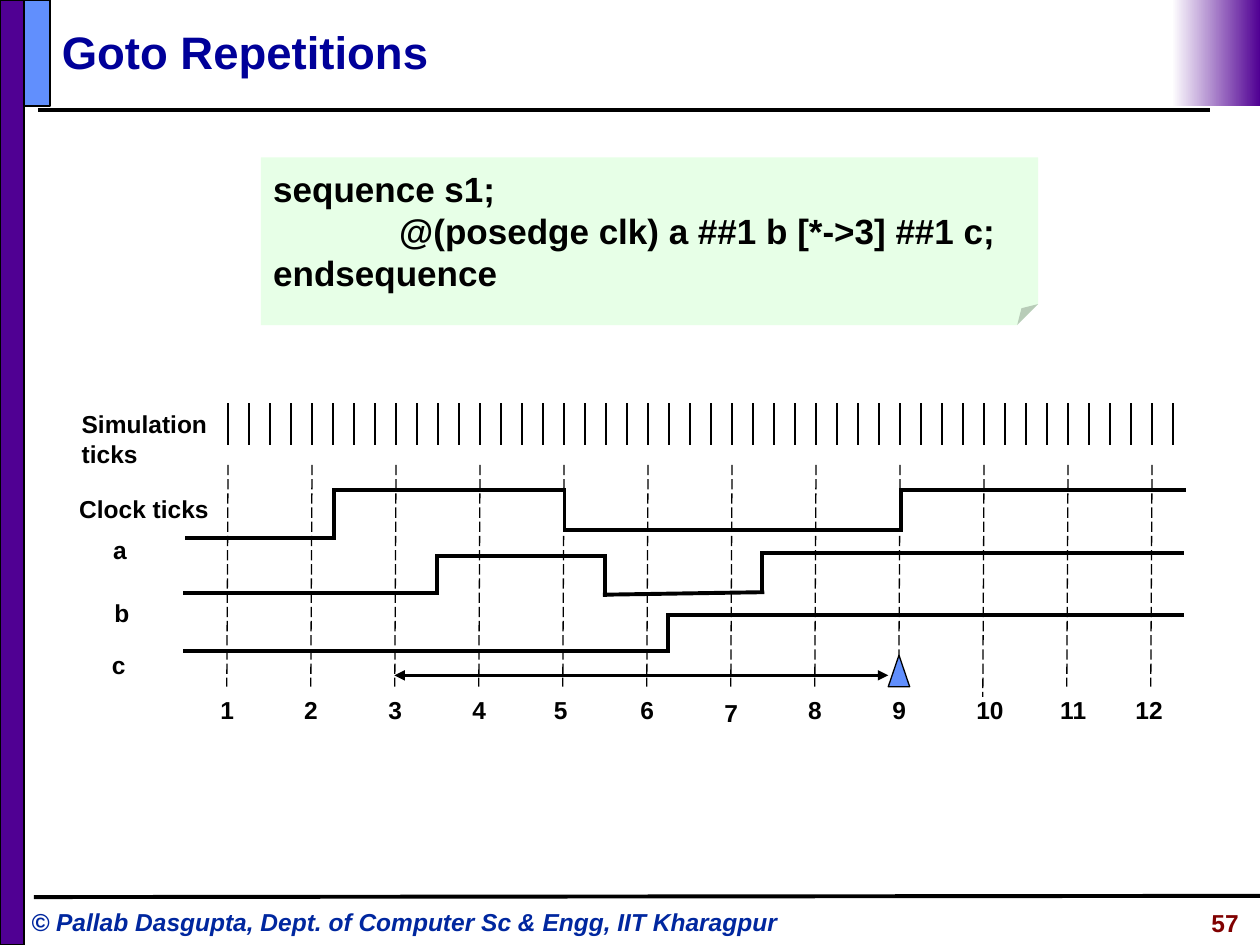
from itertools import pairwise

from lxml import etree
from pptx import Presentation, util as u
from pptx.dml.color import RGBColor
from pptx.enum import dml, shapes, text
from pptx.oxml.ns import qn

COLORS = {
    "black": "000000", "white": "FFFFFF", "purple": "500093", "blue": "618FFD",
    "title": "000099", "footer": "00279F", "number": "800000", "note": "E7FFE7",
}
CYCLE = 2 / 3
TICKS_PER_CYCLE = 4
CYCLES = 12


def rgb(name):
    return RGBColor.from_string(COLORS[name])


def inches(*values):
    return [u.Inches(v) for v in values]


def write(sp, content, size=14, color="black", italic=False, wrap=True,
          align=text.PP_ALIGN.LEFT, anchor=text.MSO_ANCHOR.TOP, tab=None):
    tf = sp.text_frame
    tf.word_wrap = wrap
    tf.auto_size = text.MSO_AUTO_SIZE.NONE
    tf.vertical_anchor = anchor
    for i, line in enumerate(content.split("\n")):
        p = tf.paragraphs[0] if i == 0 else tf.add_paragraph()
        if tab:
            tabs = etree.SubElement(p._p.get_or_add_pPr(), qn("a:tabLst"))
            etree.SubElement(tabs, qn("a:tab"), pos=str(u.Inches(tab)), algn="l")
        p.alignment = align
        r = p.add_run()
        r.text = line
        r.font.name = "Arial"
        r.font.size = u.Pt(size)
        r.font.bold = True
        r.font.italic = italic
        r.font.color.rgb = rgb(color)


def add_text(s, box, content, **fmt):
    write(s.shapes.add_textbox(*inches(*box)), content, **fmt)


def add_line(s, start, end, width=0.75, dash=None, cap=None, arrows=False):
    ln = s.shapes.add_connector(shapes.MSO_CONNECTOR.STRAIGHT, *inches(*start, *end))
    ln.line.color.rgb = rgb("black")
    ln.line.width = u.Pt(width)
    if dash:
        ln.line.dash_style = dash
    outline = ln.line._get_or_add_ln()
    if cap:
        outline.set("cap", cap)
    if arrows:
        for end_name in ("headEnd", "tailEnd"):
            etree.SubElement(outline, qn("a:" + end_name), type="triangle")
    etree.SubElement(ln._element.spPr, qn("a:effectLst"))


def add_box(s, kind, box, fill, width=None):
    sp = s.shapes.add_shape(kind, *inches(*box))
    sp.shadow.inherit = False
    sp.fill.solid()
    sp.fill.fore_color.rgb = rgb(fill)
    if width:
        sp.line.color.rgb = rgb("black")
        sp.line.width = u.Pt(width)
    else:
        sp.line.fill.background()
    return sp


def add_frame(s, box):
    x, y, w, h = box
    rect = shapes.MSO_SHAPE.RECTANGLE
    add_line(s, (x + 0.3, y + 0.87), (x + w - 0.4, y + 0.87), 2.25)
    add_line(s, (x + 0.27, y + h - 0.38), (x + w, y + h - 0.39), 2.25)
    add_box(s, rect, (x, y, 0.19, h), "purple", 1)
    add_box(s, rect, (x + 0.19, y, 0.21, 0.84), "blue", 1)
    fade = add_box(s, rect, (x + w - 0.7, y, 0.7, 0.84), "white")
    fade.fill.gradient()
    fade.fill.gradient_angle = 180
    for stop, name in zip(fade.fill.gradient_stops, ("purple", "white")):
        stop.color.rgb = rgb(name)


def add_title(s, box):
    title = s.shapes.title
    title.left, title.top, title.width, title.height = inches(*box)
    write(title, "Goto Repetitions", size=26, color="title",
          anchor=text.MSO_ANCHOR.MIDDLE)


def add_footer(s, box):
    x, y, w, h = box
    add_text(s, (x, y, 6.37, h),
             "© Pallab Dasgupta, Dept. of Computer Sc & Engg, IIT Kharagpur",
             color="footer", italic=True, wrap=False)
    add_text(s, (x + w - 1.75, y + 0.01, 1.75, h), "57", color="number",
             align=text.PP_ALIGN.RIGHT)


def add_code(s, box):
    note = add_box(s, shapes.MSO_SHAPE.FOLDED_CORNER, box, "note")
    guides = note._element.spPr.find(qn("a:prstGeom")).get_or_add_avLst()
    etree.SubElement(guides, qn("a:gd"), name="adj", fmla="val 12500")
    write(note, "sequence s1;\n\t@(posedge clk) a ##1 b [*->3] ##1 c;\nendsequence",
          size=20, anchor=text.MSO_ANCHOR.MIDDLE, tab=1)


def add_signal_names(s, box):
    x, y, w, h = box
    names = [("Simulation ticks", 0.02, 0, 1.6, 0.57), ("Clock ticks", 0, 0.67, w, 0.34),
             ("a", 0.27, 1, 0.92, 0.34), ("b", 0.28, 1.5, 0.92, 0.34),
             ("c", 0.26, 1.91, 0.92, 0.34)]
    for name, dx, dy, width, height in names:
        add_text(s, (x + dx, y + dy, width, height), name)


def add_time_grid(s, box):
    x, y, w, h = box
    for i in range((CYCLES - 1) * TICKS_PER_CYCLE + 2):
        tick = x + i * CYCLE / TICKS_PER_CYCLE
        add_line(s, (tick, y), (tick, y + 0.33))
    nudges = {5: (-0.02, 0), 7: (0, 0.02), 12: (-0.07, 0)}
    for cycle in range(1, CYCLES + 1):
        cx = x + (cycle - 1) * CYCLE
        bottom = y + (2.33 if cycle == 10 else 2.25)
        add_line(s, (cx, y + 0.49), (cx - 0.01, bottom),
                 dash=dml.MSO_LINE.LONG_DASH)
        dx, dy = nudges.get(cycle, (0, 0))
        add_text(s, (cx - 0.16 + dx, y + 2.27 + dy, 0.5, 0.34), str(cycle))


def add_waves(s, box):
    x, y, w, h = box
    waves = {
        "a": [(0.01, 0.38), (1.18, 0.38), (1.18, 0), (3.01, 0), (3.01, 0.32),
              (5.68, 0.32), (5.68, 0), (w, 0)],
        "b": [(0, 0.82), (2, 0.82), (2, 0.52), (3.33, 0.52), (3.33, 0.83),
              (4.58, 0.81), (4.58, 0.5), (w - 0.02, 0.5)],
        "c": [(0, 1.28), (3.83, 1.28), (3.83, 0.99), (w - 0.02, 0.99)],
    }
    for points in waves.values():
        for (x1, y1), (x2, y2) in pairwise(points):
            add_line(s, (x + x1, y + y1), (x + x2, y + y2), 2.25, cap="sq")


def add_match(s, box):
    x, y, w, h = box
    marker = 0.17
    add_line(s, (x, y + 0.16), (x + w - marker, y + 0.16), 1.5, arrows=True)
    add_box(s, shapes.MSO_SHAPE.ISOSCELES_TRIANGLE,
            (x + w - marker, y, marker, h), "blue", 0.75)


def main():
    prs = Presentation()
    prs.slide_width, prs.slide_height = inches(10, 7.5)
    s = prs.slides.add_slide(prs.slide_layouts[5])
    add_frame(s, (0, 0, 10, 7.5))
    add_title(s, (0.39, 0.1, 9.1, 0.61))
    add_footer(s, (0.15, 7.15, 9.78, 0.34))
    add_time_grid(s, (1.81, 3.2, 7.5, 2.6))
    add_waves(s, (1.47, 3.89, 7.93, 1.28))
    add_signal_names(s, (0.53, 3.2, 1.25, 2.25))
    add_match(s, (3.13, 5.2, 4.09, 0.25))
    add_code(s, (2.07, 1.25, 6.17, 1.33))
    prs.save("out.pptx")


if __name__ == "__main__":
    main()
